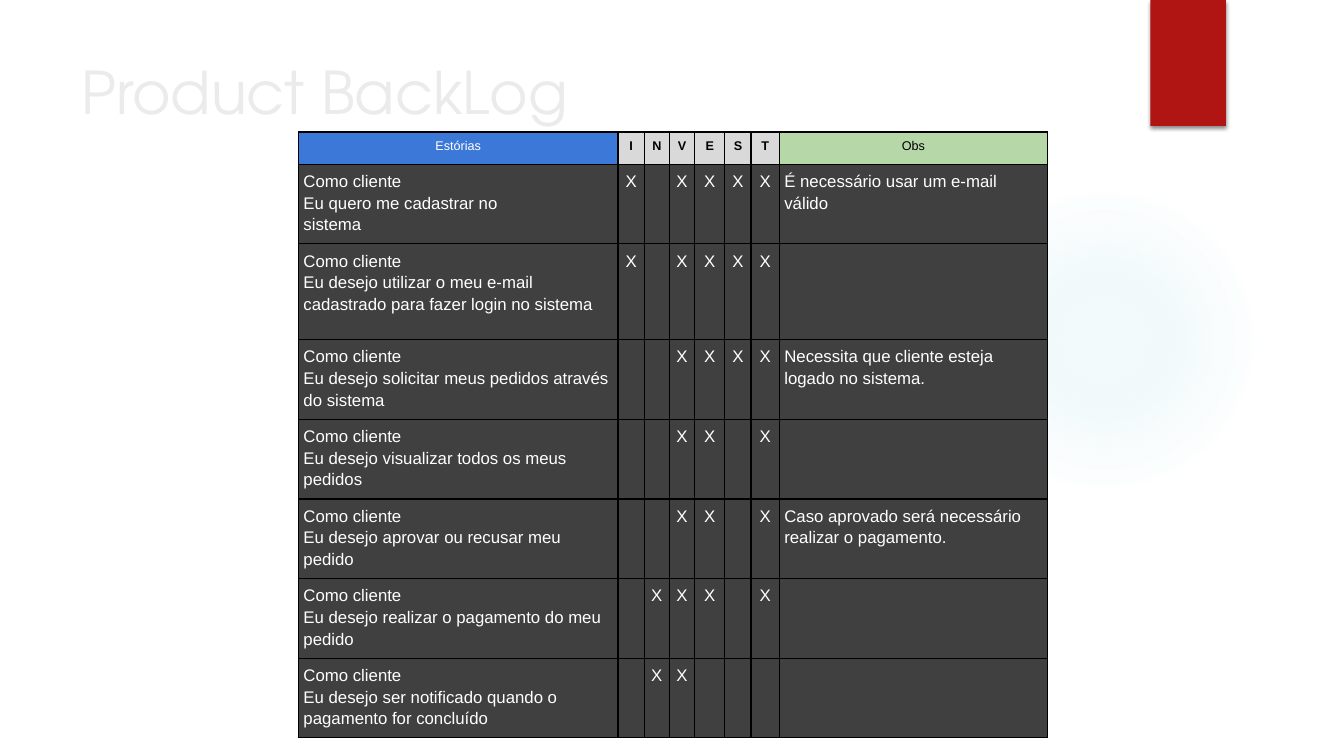
from lxml import etree
from pptx import Presentation
from pptx.dml.color import RGBColor
from pptx.enum.shapes import MSO_SHAPE
from pptx.enum.text import MSO_ANCHOR, PP_ALIGN
from pptx.oxml import parse_xml
from pptx.oxml.ns import nsdecls, qn
from pptx.util import Emu, Pt

RECTANGLE, OVAL = MSO_SHAPE.RECTANGLE, MSO_SHAPE.OVAL
LEFT, CENTER = PP_ALIGN.LEFT, PP_ALIGN.CENTER
TOP = MSO_ANCHOR.TOP
EMU_PER_PX = 9144

TITLE_FONT, TABLE_FONT = "TeX Gyre Adventor", "Arial"
WHITE, BLACK, DARK = "FFFFFF", "000000", "404040"
GLOW, RED, PALE = "4CB9C3", "B01513", "EBEBEB"
BLUE, GREY, GREEN = "3C78D8", "D9D9D9", "B6D7A8"

CRITERIA = "INVEST"
COLUMN_WIDTHS = [317, 26, 25, 25, 30, 26, 28, 266]
ROW_HEIGHTS = [32, 74, 95, 74, 74, 74, 74, 74]
STORIES = [
    ("Eu quero me cadastrar no\vsistema", "IVEST", "É necessário usar um e-mail válido"),
    ("Eu desejo utilizar o meu e-mail cadastrado para fazer login no sistema", "IVEST", ""),
    ("Eu desejo solicitar meus pedidos através do sistema", "VEST",
     "Necessita que cliente esteja logado no sistema."),
    ("Eu desejo visualizar todos os meus pedidos", "VET", ""),
    ("Eu desejo aprovar ou recusar meu pedido", "VET",
     "Caso aprovado será necessário realizar o pagamento."),
    ("Eu desejo realizar o pagamento do meu pedido", "NVET", ""),
    ("Eu desejo ser notificado quando o pagamento for concluído", "NV", ""),
]


def px(length):
    return Emu(length * EMU_PER_PX)


def color(value):
    return RGBColor.from_string(value)


def format_text(frame, font, size, ink, bold=False, align=LEFT, spacing=1.0):
    for para in frame.paragraphs:
        para.alignment = align
        para.line_spacing = spacing
        for span in para.runs:
            span.font.name = font
            span.font.size = Pt(size)
            span.font.bold = bold
            span.font.color.rgb = color(ink)


def add_plain_shape(page, kind, left, top, width, height, fill):
    shape = page.shapes.add_shape(kind, px(left), px(top), px(width), px(height))
    shape.shadow.inherit = False
    shape.fill.solid()
    shape.fill.fore_color.rgb = color(fill)
    shape.line.fill.background()
    return shape


def add_glow(page, left, top, size):
    shape = add_plain_shape(page, OVAL, left, top, size, size, GLOW)
    stops = "".join(
        f'<a:gs pos="{position * 1000}"><a:srgbClr val="{GLOW}">'
        f'<a:alpha val="{alpha * 1000}"/></a:srgbClr></a:gs>'
        for position, alpha in [(0, 7), (36, 6), (69, 0), (100, 0)]
    )
    gradient = parse_xml(
        f'<a:gradFill {nsdecls("a")} rotWithShape="1"><a:gsLst>{stops}</a:gsLst>'
        '<a:path path="circle"><a:fillToRect l="50000" t="50000" r="50000" b="50000"/>'
        '</a:path></a:gradFill>'
    )
    properties = shape._element.spPr
    properties.replace(properties.find(qn("a:solidFill")), gradient)


def add_ribbon(page, left, top, width, height):
    shape = add_plain_shape(page, RECTANGLE, left, top, width, height, RED)
    shape._element.spPr.find(qn("a:effectLst")).append(parse_xml(
        f'<a:outerShdw {nsdecls("a")} blurRad="{Pt(3)}" dist="{Pt(2)}" dir="5400000" '
        f'rotWithShape="0"><a:srgbClr val="{BLACK}"><a:alpha val="45000"/></a:srgbClr>'
        '</a:outerShdw>'
    ))


def add_title(page, text, left, top, width, height):
    box = page.shapes.add_textbox(px(left), px(top), px(width), px(height))
    frame = box.text_frame
    frame.word_wrap = True
    frame.vertical_anchor = TOP
    frame.text = text
    format_text(frame, TITLE_FONT, 42, PALE)


def add_borders(cell):
    properties = cell._tc.get_or_add_tcPr()
    for side in ("lnL", "lnR", "lnT", "lnB"):
        line = etree.SubElement(properties, qn(f"a:{side}"), w=str(Pt(1)))
        fill = etree.SubElement(line, qn("a:solidFill"))
        etree.SubElement(fill, qn("a:srgbClr"), val=BLACK)


def fill_cell(cell, text, fill, size, ink, bold=False, align=LEFT):
    add_borders(cell)
    cell.fill.solid()
    cell.fill.fore_color.rgb = color(fill)
    cell.margin_left = cell.margin_right = px(5)
    cell.margin_top = cell.margin_bottom = px(5)
    if text:
        cell.text_frame.text = text
        format_text(cell.text_frame, TABLE_FONT, size, ink, bold, align, 1.15)


def add_backlog(page, left, top):
    frame = page.shapes.add_table(
        len(ROW_HEIGHTS), len(COLUMN_WIDTHS), px(left), px(top),
        px(sum(COLUMN_WIDTHS)), px(sum(ROW_HEIGHTS)),
    )
    table = frame.table
    table.first_row = table.horz_banding = False
    for column, width in zip(table.columns, COLUMN_WIDTHS):
        column.width = px(width)
    for row, height in zip(table.rows, ROW_HEIGHTS):
        row.height = px(height)

    last = len(COLUMN_WIDTHS) - 1
    fill_cell(table.cell(0, 0), "Estórias", BLUE, 9, WHITE, align=CENTER)
    for column, letter in enumerate(CRITERIA, 1):
        fill_cell(table.cell(0, column), letter, GREY, 9, BLACK, True, CENTER)
    fill_cell(table.cell(0, last), "Obs", GREEN, 9, BLACK, align=CENTER)

    for row, (story, met, note) in enumerate(STORIES, 1):
        fill_cell(table.cell(row, 0), f"Como cliente\v{story}", DARK, 12, WHITE)
        for column, letter in enumerate(CRITERIA, 1):
            mark = "X" if letter in met else ""
            fill_cell(table.cell(row, column), mark, DARK, 12, WHITE, align=CENTER)
        fill_cell(table.cell(row, last), note, DARK, 12, WHITE)


def main():
    deck = Presentation()
    deck.slide_width, deck.slide_height = px(1333), px(750)
    page = deck.slides.add_slide(deck.slide_layouts[6])
    page.background.fill.solid()
    page.background.fill.fore_color.rgb = color(WHITE)
    add_glow(page, 941, 183, 308)
    add_ribbon(page, 1141, 0, 75, 125)
    add_title(page, "Product BackLog", 71, 50, 1029, 153)
    add_backlog(page, 296, 131)
    deck.save("out.pptx")


if __name__ == "__main__":
    main()
